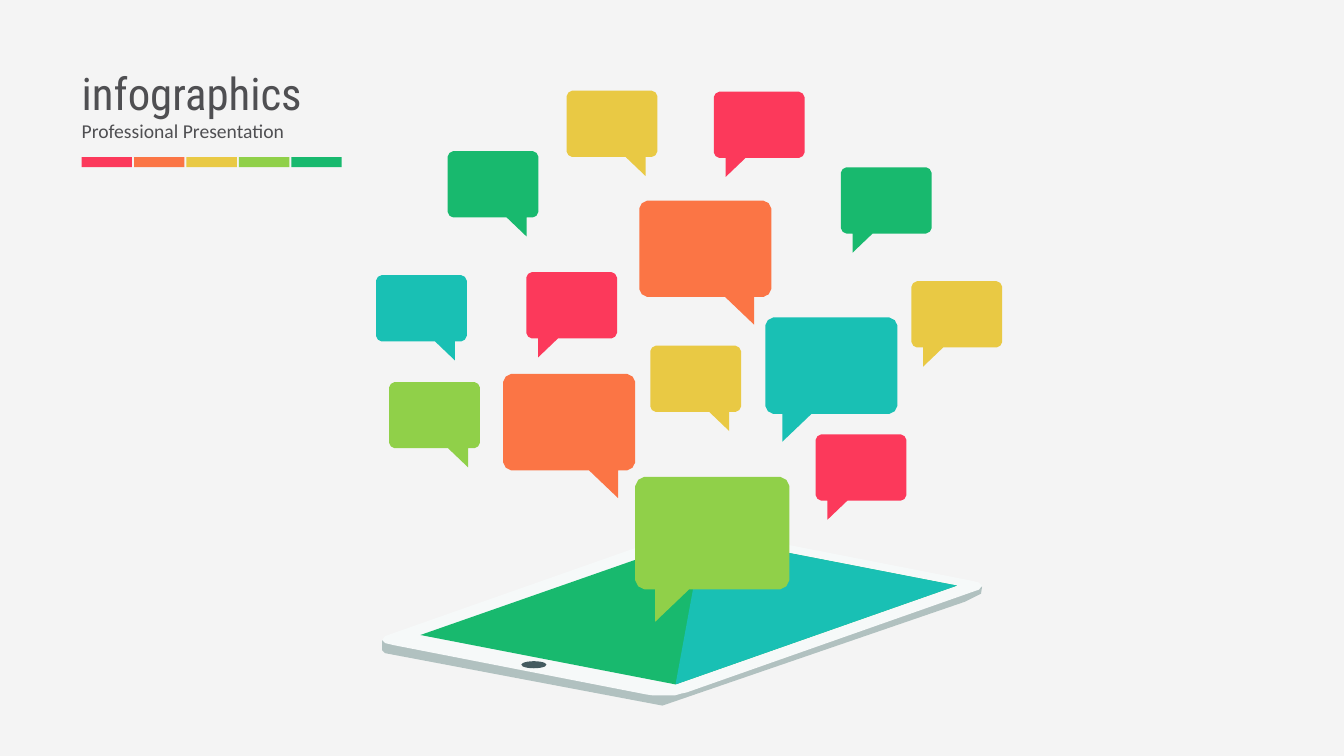
from pptx import Presentation
from pptx.dml.color import RGBColor
from pptx.enum.shapes import MSO_SHAPE as Shape
from pptx.enum.text import MSO_ANCHOR as Anchor, MSO_AUTO_SIZE as Auto, PP_ALIGN as Align
from pptx.util import Pt

PX = 9144
PAPER = RGBColor(0xF4, 0xF4, 0xF4)
INK = RGBColor(0x4F, 0x4F, 0x52)
RED = RGBColor(0xFC, 0x39, 0x5B)
ORANGE = RGBColor(0xFB, 0x75, 0x45)
YELLOW = RGBColor(0xE9, 0xC9, 0x44)
LIME = RGBColor(0x90, 0xD0, 0x49)
GREEN = RGBColor(0x18, 0xB9, 0x6E)
TEAL = RGBColor(0x19, 0xC0, 0xB4)
EDGE = RGBColor(0xB1, 0xC1, 0xC0)
FRAME = RGBColor(0xF6, 0xF9, 0xF9)
KNOB = RGBColor(0x44, 0x5B, 0x60)

TEXTS = [
    ("infographics", "Roboto Condensed", 32, (71, 60, 642, 64)),
    ("Professional Presentation", "Calibri", 14, (71, 113, 573, 34)),
]
BARS = [RED, ORANGE, YELLOW, LIME, GREEN]
TABLET = [
    (EDGE, [(974, 582), (973, 589), (957, 597), (657, 700), (382, 648),
            (379, 645), (379, 635)]),
    (FRAME, [(698, 526), (705, 526), (712, 527), (963, 576), (971, 578),
             (974, 581), (971, 585), (968, 586), (681, 687), (676, 688),
             (669, 690), (655, 690), (648, 690), (641, 689), (390, 640),
             (382, 638), (379, 635), (382, 631), (385, 630), (672, 529),
             (677, 527), (684, 526)]),
    (GREEN, [(697, 532), (949, 581), (670, 679), (417, 630)]),
    (TEAL, [(697, 532), (949, 581), (670, 679)]),
]
BUTTON = (517, 656, 25, 7)
BUBBLES = [
    (499, 371, 131, "right", ORANGE),
    (634, 199, 131, "right", ORANGE),
    (759, 315, 131, "left", TEAL),
    (373, 273, 90, "right", TEAL),
    (522, 270, 90, "left", RED),
    (904, 279, 90, "left", YELLOW),
    (645, 343, 90, "right", YELLOW),
    (386, 379, 90, "right", LIME),
    (444, 150, 90, "right", GREEN),
    (562, 90, 90, "right", YELLOW),
    (809, 431, 90, "left", RED),
    (834, 166, 90, "left", GREEN),
    (708, 91, 90, "left", RED),
    (630, 473, 153, "left", LIME),
]
BODY, TIP = 0.73, 0.94
CURVE = [(0, 0.06), (0.01, 0.04), (0.02, 0.02), (0.04, 0.01), (0.06, 0)]


def scale(box):
    return [n * PX for n in box]


def paint(shape, color):
    shape.shadow.inherit = False
    shape.fill.solid()
    shape.fill.fore_color.rgb = color
    shape.line.fill.background()


def trace(points, color):
    dots = [(x * PX, y * PX) for x, y in points]
    pen = slide.shapes.build_freeform(*dots[0])
    pen.add_line_segments(dots[1:], close=True)
    paint(pen.convert_to_shape(), color)


def bubble(left, top, size, side, color):
    ring = list(CURVE)
    ring += [(1 - x, y) for x, y in reversed(CURVE)]
    ring += [(1 - x, BODY - y) for x, y in CURVE]
    ring += [(0.87, BODY), (0.87, TIP), (0.65, BODY)]
    ring += [(x, BODY - y) for x, y in reversed(CURVE)]
    if side == "left":
        ring = [(1 - x, y) for x, y in ring]
    trace([(left + x * size, top + y * size) for x, y in ring], color)


def write(holder, text, face, size, box):
    holder.left, holder.top, holder.width, holder.height = scale(box)
    frame = holder.text_frame
    frame.text = text
    frame.word_wrap = True
    frame.auto_size = Auto.NONE
    frame.vertical_anchor = Anchor.TOP
    para = frame.paragraphs[0]
    para.alignment = Align.LEFT
    para.space_before = Pt(0)
    font = para.runs[0].font
    font.name, font.size = face, Pt(size)
    font.color.rgb = INK


deck = Presentation()
deck.slide_width, deck.slide_height = scale((1333, 750))
slide = deck.slides.add_slide(deck.slide_layouts[0])
slide.background.fill.solid()
slide.background.fill.fore_color.rgb = PAPER

for holder, row in zip(slide.placeholders, TEXTS):
    write(holder, *row)
for color, points in TABLET:
    trace(points, color)
paint(slide.shapes.add_shape(Shape.OVAL, *scale(BUTTON)), KNOB)
for row in BUBBLES:
    bubble(*row)
for i, color in enumerate(BARS):
    box = scale((81 + 52 * i, 156, 50, 10))
    paint(slide.shapes.add_shape(Shape.RECTANGLE, *box), color)

deck.save("out.pptx")
